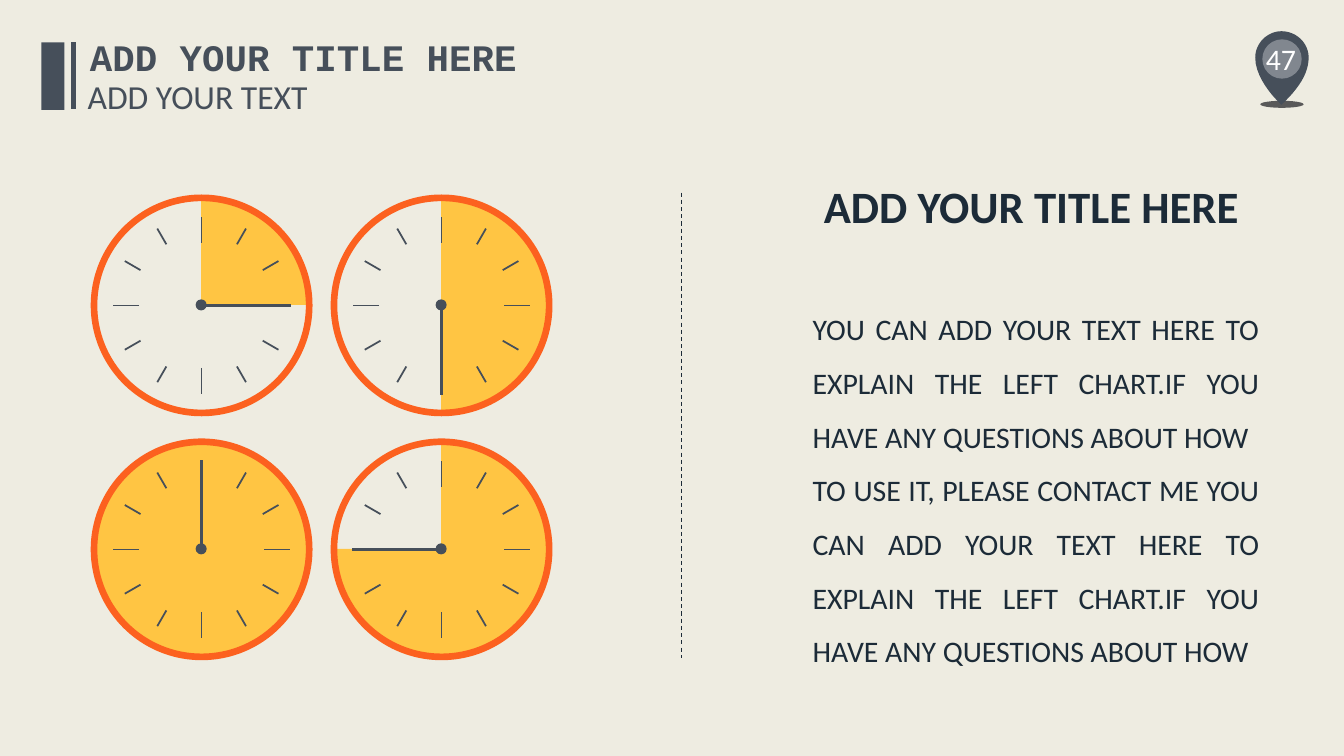
import math

import pptx
import pptx.chart.data
import pptx.dml.color
import pptx.enum.chart
import pptx.enum.dml
import pptx.enum.shapes
import pptx.enum.text
import pptx.oxml
import pptx.util
from lxml import etree

PX = 9144  # 100 px to the inch
SLATE, NAVY, YELLOW, ORANGE, WHITE = "464F5A", "1C2B38", "FFC543", "FC611F", "FFFFFF"
DRAWING = "http://schemas.openxmlformats.org/drawingml/2006/main"
SHAPES = pptx.enum.shapes.MSO_SHAPE
ALIGN = pptx.enum.text.PP_ALIGN
color = pptx.dml.color.RGBColor.from_string


def paint(shape, fill):
    shape.fill.solid()
    shape.fill.fore_color.rgb = color(fill)
    shape.line.fill.background()
    shape.shadow.inherit = False


def write(shape, box, texts, size, hex_color, font="Calibri", bold=False,
          align=ALIGN.CENTER, wrap=False, anchor="TOP", spacing=1.0):
    shape.left, shape.top, shape.width, shape.height = (value * PX for value in box)
    frame = shape.text_frame
    frame.word_wrap = wrap
    frame.auto_size = pptx.enum.text.MSO_AUTO_SIZE.NONE
    frame.vertical_anchor = pptx.enum.text.MSO_ANCHOR[anchor]
    for index, text in enumerate(texts):
        paragraph = frame.add_paragraph() if index else frame.paragraphs[0]
        properties = paragraph._p.get_or_add_pPr()
        properties.set("marL", "0")
        properties.set("indent", "0")
        etree.SubElement(properties, f"{{{DRAWING}}}buNone")
        paragraph.alignment = align
        paragraph.line_spacing = spacing
        paragraph.space_before = pptx.util.Pt(0)
        run = paragraph.add_run()
        run.text = text
        run.font.name = font
        run.font.size = pptx.util.Pt(size)
        run.font.bold = bold
        run.font.color.rgb = color(hex_color)


presentation = pptx.Presentation()
presentation.slide_width, presentation.slide_height = 1333 * PX, 750 * PX
slide = presentation.slides.add_slide(presentation.slide_layouts[1])
slide.background.fill.solid()
slide.background.fill.fore_color.rgb = color("EEECE1")

# Header
write(slide.shapes.title, (79, 29, 444, 55), ["ADD YOUR TITLE HERE"], 26.7, SLATE,
      font="Courier New", bold=True)
subtitle = slide.shapes.add_textbox(0, 0, PX, PX)
write(subtitle, (77, 70, 241, 50), ["ADD YOUR TEXT"], 24, SLATE, align=ALIGN.LEFT)
bar = slide.shapes.add_shape(SHAPES.RECTANGLE, 41 * PX, 42 * PX, 23 * PX, 67 * PX)
paint(bar, SLATE)

# Page number pin
pin_shadow = slide.shapes.add_shape(SHAPES.OVAL, 1250 * PX, 100 * PX, 43 * PX, 7 * PX)
paint(pin_shadow, "595959")
pin_curves = [
    [(1298, 57), (1298, 43), (1286, 31), (1271, 31)],
    [(1271, 31), (1257, 31), (1245, 43), (1245, 57)],
    [(1245, 57), (1245, 81), (1271, 104), (1271, 104)],
    [(1271, 104), (1288, 88), (1298, 73), (1298, 57)],
]
outline = []
for start, first, second, end in pin_curves:
    for step in range(1, 13):
        t = step / 12
        weights = ((1 - t) ** 3, 3 * t * (1 - t) ** 2, 3 * t * t * (1 - t), t ** 3)
        outline.append(tuple(
            sum(weight * point[axis] for weight, point in zip(weights, (start, first, second, end))) * PX
            for axis in (0, 1)))
builder = slide.shapes.build_freeform(1298 * PX, 57 * PX, scale=1.0)
builder.add_line_segments(outline, close=True)
paint(builder.convert_to_shape(), SLATE)
pin_disc = slide.shapes.add_shape(SHAPES.OVAL, 1252 * PX, 39 * PX, 39 * PX, 39 * PX)
paint(pin_disc, WHITE)
disc_color = pin_disc._element.spPr.find(f".//{{{DRAWING}}}srgbClr")
etree.SubElement(disc_color, f"{{{DRAWING}}}alpha", val="32000")
page_number = slide.shapes.add_textbox(0, 0, PX, PX)
write(page_number, (1115, 38, 311, 40), ["47"], 21.3, WHITE, wrap=True, anchor="MIDDLE")

# Lines: start, end, colour, width in points, dash
dash = pptx.enum.dml.MSO_LINE.DASH
lines = [(73, 42, 73, 108, SLATE, 3, None), (676, 191, 676, 653, NAVY, 0.75, dash)]

# Clock faces: a pie under a ring
clocks = [(200, 303, 25), (438, 303, 50), (200, 545, 100), (438, 545, 75)]
for center_x, center_y, share in clocks:
    data = pptx.chart.data.CategoryChartData()
    data.categories = ["1", "2"]
    data.add_series("Series 1", (share, 100 - share))
    chart = slide.shapes.add_chart(
        pptx.enum.chart.XL_CHART_TYPE.PIE, (center_x - 121) * PX, (center_y - 121) * PX,
        241 * PX, 241 * PX, data).chart
    chart.has_legend = False
    chart.has_title = False
    chart.font.name = "Calibri"
    chart.font.size = pptx.util.Pt(18)
    chart.font.color.rgb = color("000000")
    plot = chart.plots[0]
    plot.vary_by_categories = True
    elapsed, remaining = (plot.series[0].points[index].format for index in (0, 1))
    elapsed.fill.solid()
    elapsed.fill.fore_color.rgb = color(YELLOW)
    remaining.fill.background()
    for slice_format in (elapsed, remaining):
        slice_format.line.fill.background()
    plot_area = chart._chartSpace.chart.plotArea
    for old_layout in plot_area.findall("{*}layout"):
        plot_area.remove(old_layout)
    plot_area.insert(0, pptx.oxml.parse_xml(
        '<c:layout xmlns:c="http://schemas.openxmlformats.org/drawingml/2006/chart">'
        '<c:manualLayout><c:layoutTarget val="inner"/><c:xMode val="edge"/><c:yMode val="edge"/>'
        '<c:x val="0.06"/><c:y val="0.06"/><c:w val="0.88"/><c:h val="0.88"/>'
        '</c:manualLayout></c:layout>'))

    ring = slide.shapes.add_shape(
        SHAPES.DONUT, (center_x - 110) * PX, (center_y - 110) * PX, 220 * PX, 220 * PX)
    ring.adjustments[0] = 0.03
    paint(ring, ORANGE)

    # Twelve ticks and the hand
    strokes = [(hour * 30, 70 if hour % 3 else 62, 88, 1.25 if hour % 3 else 0.75)
               for hour in range(12)]
    strokes.append((share * 3.6, 0, 89, 2.25))
    for degrees, inner, outer, width in strokes:
        sine, cosine = math.sin(math.radians(degrees)), math.cos(math.radians(degrees))
        lines.append((center_x + inner * sine, center_y - inner * cosine,
                      center_x + outer * sine, center_y - outer * cosine, SLATE, width, None))

for *ends, hex_color, width, dash_style in lines:
    connector = slide.shapes.add_connector(
        pptx.enum.shapes.MSO_CONNECTOR.STRAIGHT, *(round(value * PX) for value in ends))
    connector.line.color.rgb = color(hex_color)
    connector.line.width = pptx.util.Pt(width)
    if dash_style:
        connector.line.dash_style = dash_style
    etree.SubElement(connector._element.spPr, f"{{{DRAWING}}}effectLst")

for center_x, center_y, share in clocks:
    hub = slide.shapes.add_shape(
        SHAPES.OVAL, (center_x - 6) * PX, (center_y - 6) * PX, 11 * PX, 11 * PX)
    paint(hub, SLATE)

# Explanation
heading = slide.shapes.add_textbox(0, 0, PX, PX)
write(heading, (800, 172, 446, 64), ["ADD YOUR TITLE HERE"], 32, NAVY, bold=True)
explanation = [
    "YOU CAN ADD YOUR TEXT HERE TO EXPLAIN THE LEFT CHART.IF YOU HAVE ANY QUESTIONS ABOUT HOW",
    "TO USE IT, PLEASE CONTACT ME YOU CAN ADD YOUR TEXT HERE TO EXPLAIN THE LEFT CHART.IF YOU "
    "HAVE ANY QUESTIONS ABOUT HOW",
]
write(slide.placeholders[1], (796, 286, 463, 387), explanation, 21.3, NAVY,
      align=ALIGN.JUSTIFY, wrap=True, spacing=1.5)

presentation.save("out.pptx")
